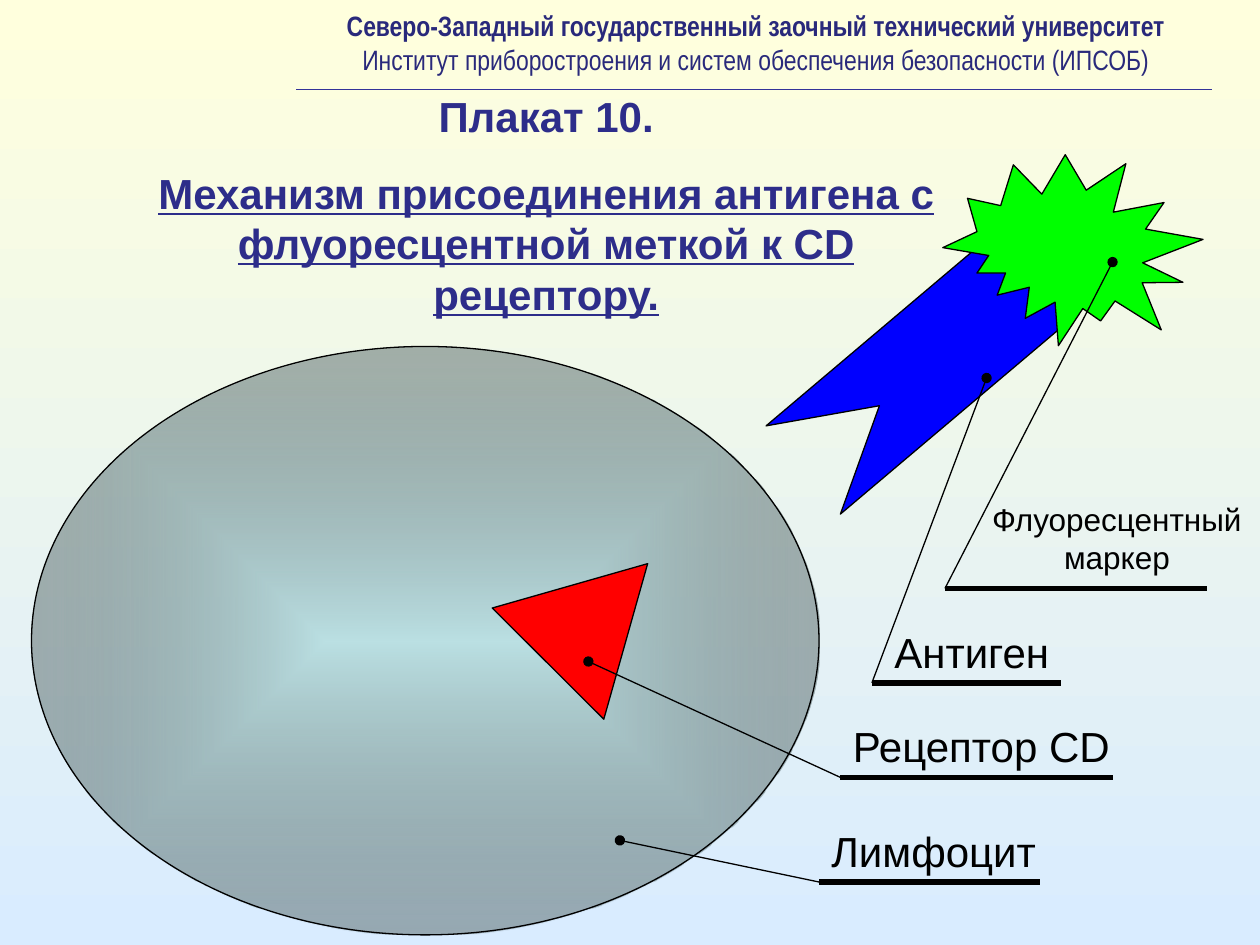
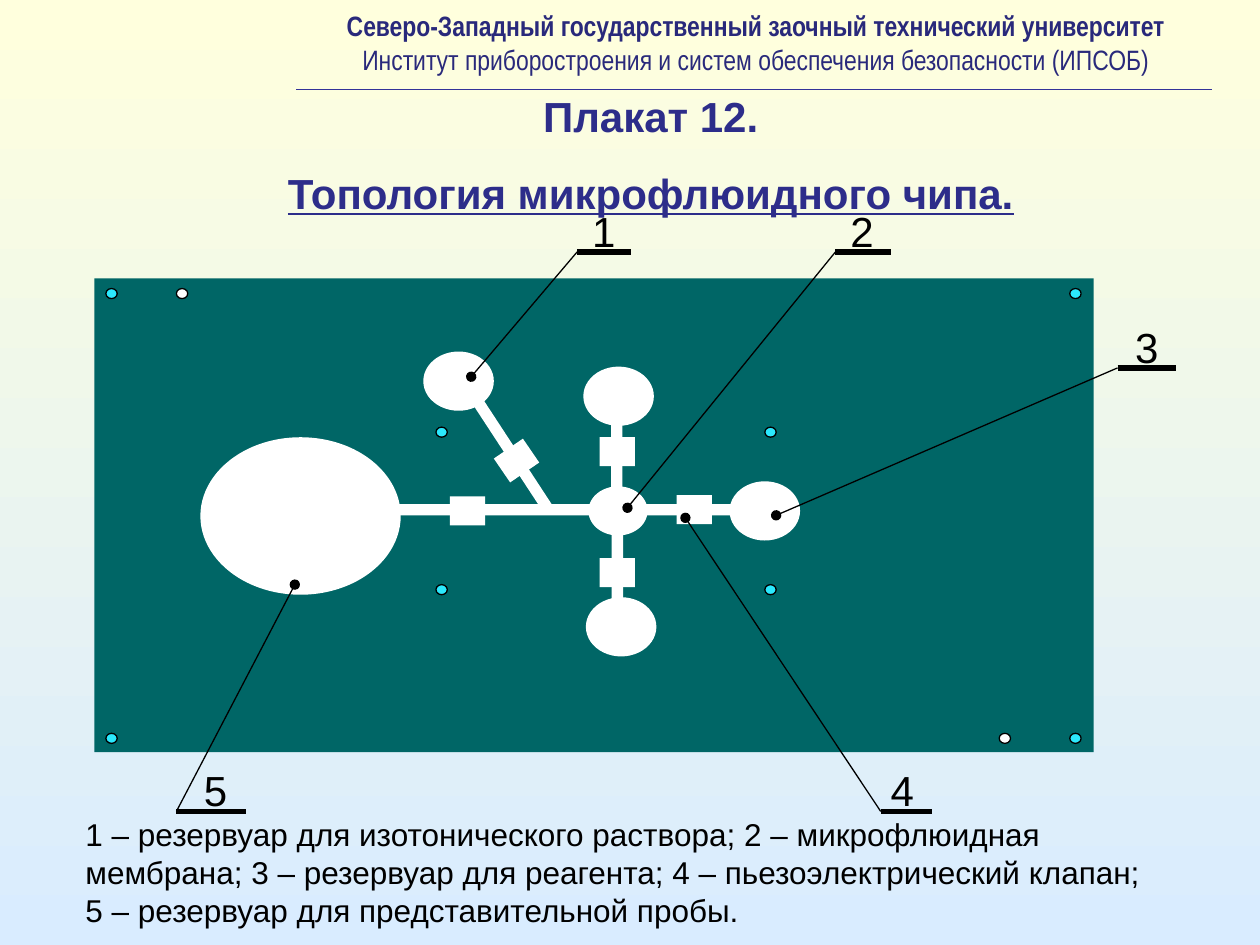
from dataclasses import dataclass
from itertools import product
from typing import Any

from lxml import etree
from pptx import Presentation
from pptx.dml.color import RGBColor
from pptx.enum.shapes import MSO_CONNECTOR, MSO_SHAPE as SHAPE
from pptx.enum.text import MSO_ANCHOR, MSO_AUTO_SIZE, PP_ALIGN as ALIGN
from pptx.oxml import parse_xml
from pptx.oxml.ns import nsdecls, qn
from pptx.util import Inches, Pt

COLORS = {
    "sky_top": "FFFFDD",
    "sky_bottom": "D9ECFF",
    "title": "2D2D8A",
    "header": "29297B",
    "header_rule": "333399",
    "ink": "000000",
    "cell_center": "BBE0E3",
    "cell_edge": "576869",
    "receptor": "FF0000",
    "antigen": "0000FF",
    "marker": "00FF00",
    "chip": "006666",
    "pin": "2CE8FC",
    "white": "FFFFFF",
}
THIN, THICK = 0.75, 3


def rgb(name):
    return RGBColor.from_string(COLORS[name])


def style_shape(shape, fill, outlined):
    shape.shadow.inherit = False
    if fill:
        shape.fill.solid()
        shape.fill.fore_color.rgb = rgb(fill)
    if outlined:
        shape.line.color.rgb = rgb("ink")
        shape.line.width = Pt(THIN)
    else:
        shape.line.fill.background()


def write_paragraph(paragraph, text, size, color="ink", font="Arial",
                    bold=False, underline=False, align=ALIGN.LEFT):
    paragraph.text = text
    paragraph.alignment = align
    paragraph.font.name = font
    paragraph.font.size = Pt(size)
    paragraph.font.bold = bold
    paragraph.font.underline = underline
    paragraph.font.color.rgb = rgb(color)


@dataclass
class Region:
    """Area of a slide whose parts are placed in inches from its corner."""
    shapes: Any
    left: float
    top: float

    def at(self, x, y):
        return Inches(self.left + x), Inches(self.top + y)

    def shape(self, kind, x, y, width, height, fill=None, outlined=False, turn=0):
        part = self.shapes.add_shape(kind, *self.at(x, y), Inches(width), Inches(height))
        part.rotation = turn
        style_shape(part, fill, outlined)
        return part

    def outline(self, points, fill):
        start, *others = [self.at(*point) for point in points]
        builder = self.shapes.build_freeform(*start)
        builder.add_line_segments(others, close=True)
        style_shape(builder.convert_to_shape(), fill, True)

    def line(self, start, end, weight=THIN, color="ink", dot=False):
        rule = self.shapes.add_connector(
            MSO_CONNECTOR.STRAIGHT, *self.at(*start), *self.at(*end))
        rule.line.color.rgb = rgb(color)
        rule.line.width = Pt(weight)
        if dot:
            etree.SubElement(rule.line._get_or_add_ln(), qn("a:headEnd"), type="oval")
        etree.SubElement(rule._element.spPr, qn("a:effectLst"))

    def text(self, x, y, width, height, lines, **looks):
        frame = self.shapes.add_textbox(
            *self.at(x, y), Inches(width), Inches(height)).text_frame
        frame.word_wrap = True
        for number, line in enumerate(lines):
            paragraph = frame.add_paragraph() if number else frame.paragraphs[0]
            write_paragraph(paragraph, line, **looks)
        return frame

    def callout(self, tip, elbow, length):
        """Leader from a dotted tip to a thick shelf that carries a label."""
        self.line(tip, elbow, dot=True)
        self.line(elbow, (elbow[0] + length, elbow[1]), THICK)


def set_background(master):
    fill = master.background.fill
    fill.gradient()
    fill.gradient_angle = 270
    for stop, name in zip(fill.gradient_stops, ("sky_top", "sky_bottom")):
        stop.color.rgb = rgb(name)


def add_header(region):
    frame = region.text(
        0, 0, 7.3, 0.64,
        ["Северо-Западный государственный заочный технический университет",
         "Институт приборостроения и систем обеспечения безопасности (ИПСОБ)"],
        size=16, color="header", font="Arial Narrow", align=ALIGN.CENTER)
    frame.paragraphs[0].font.bold = True
    region.line((0, 0.69), (7.27, 0.69), color="header_rule")


def add_title(slide, left, width, height, poster, topic):
    title = slide.shapes.title
    title.left, title.top = Inches(left), Inches(0.67)
    title.width, title.height = Inches(width), Inches(height)
    frame = title.text_frame
    frame.auto_size = MSO_AUTO_SIZE.NONE
    frame.vertical_anchor = MSO_ANCHOR.TOP
    looks = dict(size=24, color="title", bold=True, align=ALIGN.CENTER)
    write_paragraph(frame.paragraphs[0], poster, **looks)
    heading = frame.add_paragraph()
    write_paragraph(heading, topic, underline=True, **looks)
    heading.space_before = Pt(15)


def add_poster(deck, left, width, height, poster, topic):
    slide = deck.slides.add_slide(deck.slide_layouts.get_by_name("Title Only"))
    add_title(slide, left, width, height, poster, topic)
    add_header(Region(slide.shapes, 2.35, 0.02))
    return slide.shapes


def add_lymphocyte(region):
    cell = region.shape(SHAPE.OVAL, 0, 0, 6.25, 4.67, outlined=True)
    glow = parse_xml(
        f'<a:gradFill {nsdecls("a")} rotWithShape="1"><a:gsLst>'
        f'<a:gs pos="0"><a:srgbClr val="{COLORS["cell_center"]}"/></a:gs>'
        f'<a:gs pos="100000"><a:srgbClr val="{COLORS["cell_edge"]}">'
        '<a:alpha val="50000"/></a:srgbClr></a:gs></a:gsLst>'
        '<a:path path="rect"><a:fillToRect l="50000" t="50000" r="50000" b="50000"/>'
        '</a:path></a:gradFill>')
    cell._element.spPr.find(qn("a:prstGeom")).addnext(glow)
    region.shape(SHAPE.ISOSCELES_TRIANGLE, 3.87, 1.56, 1.25, 1.12,
                 "receptor", True, 44.9)


def add_marked_antigen(region):
    region.outline([(0, 2.34), (1.81, 0.81), (2.71, 0.65),
                    (2.4, 1.51), (0.59, 3.04), (0.9, 2.18)], "antigen")
    region.shape(SHAPE.EXPLOSION2, 1.63, 0, 1.67, 1.92, "marker", True, 66.5)


def add_cell_callouts(region):
    region.callout((2.33, 0.08), (1, 2.67), 2.08)
    region.text(1.23, 1.92, 2.27, 0.7, ["Флуоресцентный", "маркер"],
                size=18, align=ALIGN.CENTER)
    callouts = [
        ("Антиген", (1.33, 1), (0.42, 3.42), 1.5, 0.08),
        ("Рецептор CD", (-1.83, 3.25), (0.17, 4.17), 2.16, 0),
        ("Лимфоцит", (-1.58, 4.67), (0, 5), 1.75, 0),
    ]
    for name, tip, elbow, length, indent in callouts:
        region.callout(tip, elbow, length)
        region.text(elbow[0] + indent, elbow[1] - 0.5, length + 0.3, 0.5,
                    [name], size=24)


def add_chip(region):
    region.shape(SHAPE.RECTANGLE, 0, 0, 7.93, 3.76, "chip")

    corner_pins = product((0.09, 7.74), (0.08, 3.61))
    inner_pins = product((2.71, 5.32), (1.18, 2.43))
    pins = [(*spot, "pin") for spot in (*corner_pins, *inner_pins)]
    for x, y, fill in pins + [(0.65, 0.08, "white"), (7.18, 3.61, "white")]:
        region.shape(SHAPE.OVAL, x, y, 0.09, 0.08, fill, True)

    for x, y in [(2.61, 0.58), (3.88, 0.7), (5.04, 1.61), (3.9, 2.53)]:
        region.shape(SHAPE.OVAL, x, y, 0.56, 0.47, "white")
    region.shape(SHAPE.OVAL, 0.84, 1.26, 1.59, 1.25, "white")

    channels = [(2.33, 1.79, 1.68, 0), (2.78, 1.35, 1.07, 56.8),
                (3.76, 1.38, 0.77, 90), (3.83, 2.23, 0.64, 90),
                (4.33, 1.79, 0.76, 0)]
    for x, y, length, turn in channels:
        region.shape(SHAPE.RECTANGLE, x, y, length, 0.09, "white", turn=turn)

    valves = [(4.01, 1.26, 0), (4.62, 1.72, 0), (4.01, 2.22, 0),
              (2.82, 1.73, 0), (3.21, 1.33, 325.6)]
    for x, y, turn in valves:
        region.shape(SHAPE.RECTANGLE, x, y, 0.28, 0.23, "white", turn=turn)

    region.shape(SHAPE.OVAL, 3.92, 1.65, 0.47, 0.39, "white")


def add_chip_callouts(region):
    callouts = [
        ((2.99, 0.78), (3.83, -0.21), 0.43, 0.02),
        ((4.23, 1.82), (5.88, -0.21), 0.44, 0.02),
        ((5.41, 1.88), (8.12, 0.71), 0.46, 0.04),
        ((4.69, 1.9), (6.24, 4.23), 0.41, -0.02),
        ((1.59, 2.43), (0.65, 4.23), 0.55, 0.12),
    ]
    for number, (tip, elbow, length, indent) in enumerate(callouts, 1):
        region.callout(tip, elbow, length)
        region.text(elbow[0] + indent, elbow[1] - 0.42, 0.38, 0.5,
                    [str(number)], size=24)


def add_chip_legend(region):
    region.text(0, 0, 9.08, 1, [
        "1 – резервуар для изотонического раствора; 2 – микрофлюидная мембрана; "
        "3 – резервуар для реагента; 4 – пьезоэлектрический клапан;\v"
        "5 – резервуар для представительной пробы."], size=18)


def add_antigen_slide(deck):
    shapes = add_poster(
        deck, 1, 6.67, 1.91, "Плакат 10.",
        "Механизм присоединения антигена с флуоресцентной меткой к CD рецептору.")
    add_lymphocyte(Region(shapes, 0.25, 2.75))
    add_marked_antigen(Region(shapes, 6.08, 1.04))
    add_cell_callouts(Region(shapes, 6.5, 2))


def add_chip_slide(deck):
    shapes = add_poster(deck, 1.58, 7.17, 1.11, "Плакат 12.",
                        "Топология микрофлюидного чипа.")
    chip = Region(shapes, 0.75, 2.21)
    add_chip(chip)
    add_chip_callouts(chip)
    add_chip_legend(Region(shapes, 0.58, 6.42))


def main():
    deck = Presentation()
    deck.slide_width, deck.slide_height = Inches(10), Inches(7.5)
    set_background(deck.slide_master)
    add_antigen_slide(deck)
    add_chip_slide(deck)
    deck.save("out.pptx")


if __name__ == "__main__":
    main()
